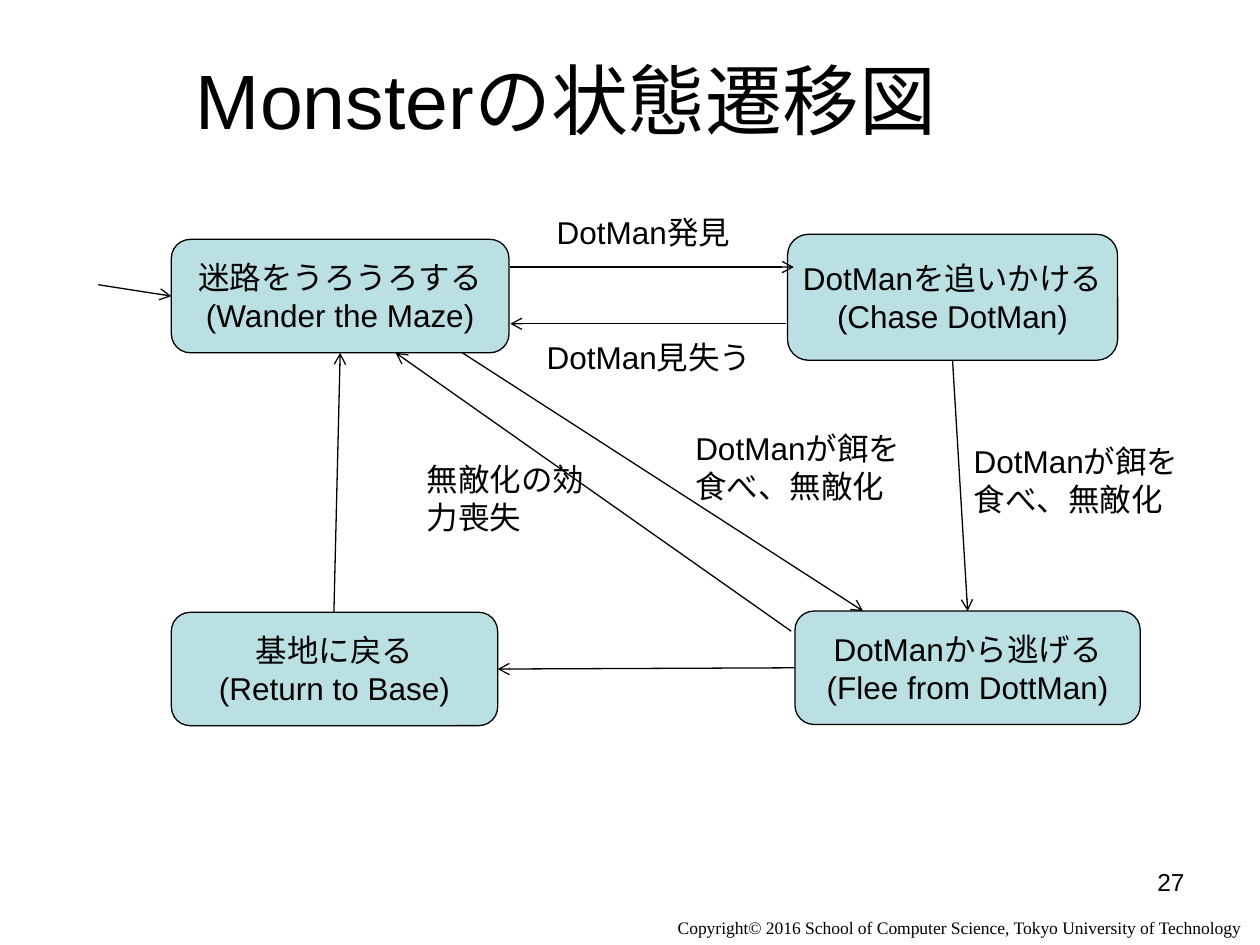
import pptx
import pptx.util
import pptx.dml.color
import pptx.enum.shapes
import pptx.enum.text
import pptx.oxml.ns
import lxml.etree

Inches = pptx.util.Inches
ALIGN = pptx.enum.text.PP_ALIGN
ANCHOR = pptx.enum.text.MSO_ANCHOR
BLACK = "000000"
STATE_FILL = "BBE0E3"


def color(hex_string):
    return pptx.dml.color.RGBColor.from_string(hex_string)


def write(shape, text, size, align=ALIGN.LEFT, anchor=ANCHOR.TOP, wrap=True, font="Arial"):
    frame = shape.text_frame
    frame.text = text
    frame.word_wrap = wrap
    frame.vertical_anchor = anchor
    for para in frame.paragraphs:
        para.alignment = align
        for span in para.runs:
            span.font.size = pptx.util.Pt(size)
            span.font.name = font
            span.font.color.rgb = color(BLACK)


deck = pptx.Presentation()
deck.slide_width = Inches(10)
deck.slide_height = Inches(7.5)
page = deck.slides.add_slide(deck.slide_layouts[5])

title = page.shapes.title
title.left, title.top = Inches(0.74), Inches(0.35)
title.width, title.height = Inches(7.51), Inches(0.86)
write(title, "Monsterの状態遷移図", 44, ALIGN.CENTER, ANCHOR.MIDDLE)

states = [
    (1.36, 1.9, 2.68, 0.9, "迷路をうろうろする\n(Wander the Maze)", True),
    (6.25, 1.86, 2.62, 1, "DotManを追いかける\n(Chase DotMan)", False),
    (1.36, 4.86, 2.59, 0.9, "基地に戻る\n(Return to Base)", True),
    (6.31, 4.85, 2.74, 0.9, "DotManから逃げる\n(Flee from DottMan)", True),
]
for left, top, width, height, text, wrap in states:
    state = page.shapes.add_shape(
        pptx.enum.shapes.MSO_SHAPE.ROUNDED_RECTANGLE,
        Inches(left), Inches(top), Inches(width), Inches(height))
    state.shadow.inherit = False
    state.fill.solid()
    state.fill.fore_color.rgb = color(STATE_FILL)
    state.line.color.rgb = color(BLACK)
    state.line.width = pptx.util.Pt(0.75)
    write(state, text, 18, ALIGN.CENTER, ANCHOR.MIDDLE, wrap)

transitions = [
    (0.78, 2.26, 1.36, 2.35),
    (4.05, 2.12, 6.3, 2.12),
    (6.24, 2.57, 4.05, 2.57),
    (2.65, 4.86, 2.7, 2.8),
    (6.31, 5.3, 3.95, 5.31),
    (7.56, 2.86, 7.68, 4.85),
    (3.67, 2.8, 6.85, 4.85),
    (6.28, 5.01, 3.14, 2.8),
]
for ends in transitions:
    arrow = page.shapes.add_connector(
        pptx.enum.shapes.MSO_CONNECTOR.STRAIGHT, *[Inches(end) for end in ends])
    arrow.line.color.rgb = color(BLACK)
    arrow.line.width = pptx.util.Pt(0.75)
    head = lxml.etree.SubElement(arrow.line._get_or_add_ln(), pptx.oxml.ns.qn("a:tailEnd"))
    head.set("type", "arrow")
    lxml.etree.SubElement(arrow._element.spPr, pptx.oxml.ns.qn("a:effectLst"))

labels = [
    (4.32, 1.64, 1.85, 0.4, "DotMan発見"),
    (4.24, 2.63, 1.87, 0.7, "DotMan見失う"),
    (7.63, 3.46, 1.84, 1, "DotManが餌を食べ、無敵化"),
    (5.42, 3.36, 1.84, 1, "DotManが餌を食べ、無敵化"),
    (3.29, 3.6, 1.48, 0.7, "無敵化の効力喪失"),
]
for left, top, width, height, text in labels:
    label = page.shapes.add_textbox(Inches(left), Inches(top), Inches(width), Inches(height))
    write(label, text, 18)

page_number = page.shapes.add_textbox(Inches(7.17), Inches(6.83), Inches(2.33), Inches(0.52))
write(page_number, "27", 14, ALIGN.RIGHT)

copyright_line = page.shapes.add_textbox(Inches(5.28), Inches(7.23), Inches(4.72), Inches(0.27))
write(copyright_line,
      "Copyright© 2016 School of Computer Science, Tokyo University of Technology",
      10, wrap=False, font="Times New Roman")

deck.save("out.pptx")
